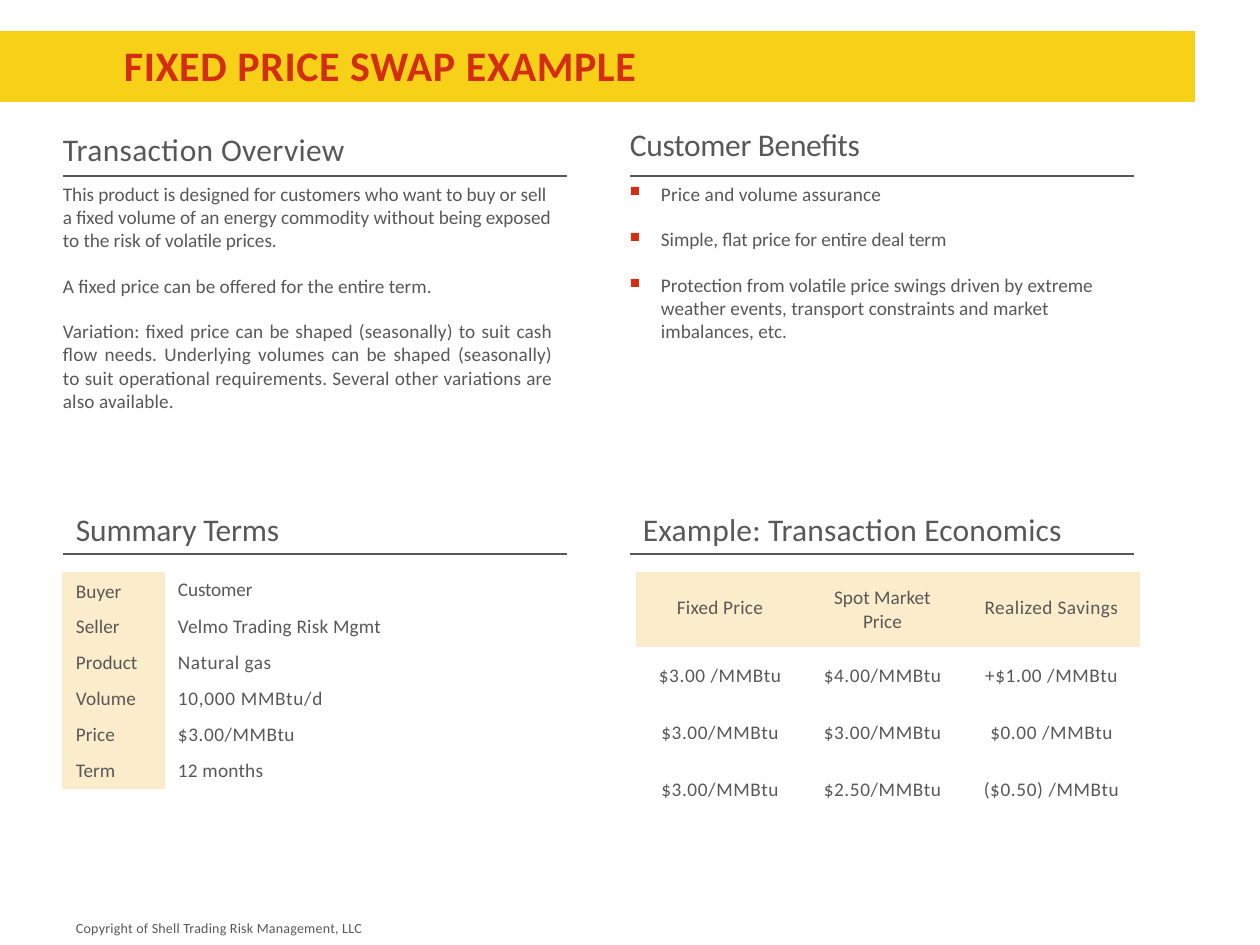
"""Build the fixed price swap slide."""
from lxml import etree
from pptx import Presentation, util as u
from pptx.dml.color import RGBColor
from pptx.enum import shapes, text
from pptx.oxml.ns import qn

RED = RGBColor(0xD3, 0x2D, 0x12)
GOLD = RGBColor(0xF7, 0xD1, 0x17)
CREAM = RGBColor(0xFB, 0xED, 0xCC)
GREY = RGBColor(0x58, 0x58, 0x58)
PLAIN = "{2D5ABB26-0587-4C30-8999-92F81FD0307C}"
LEFT, MID, JUST = text.PP_ALIGN.LEFT, text.PP_ALIGN.CENTER, text.PP_ALIGN.JUSTIFY


def px(n):
    """Turn pixels into EMU."""
    return u.Emu(round(n * 914400 / 126))


def write(para, words, size=11, color=GREY, bold=False, gap=0, align=LEFT):
    """Put words in a paragraph; gap is the letter spacing in points."""
    para.alignment = align
    run = para.add_run()
    run.text = words
    font = run.font
    font.name, font.size, font.bold = "Calibri", u.Pt(size), bold
    font.color.rgb = color
    run._r.get_or_add_rPr().set("spc", str(round(gap * 100)))


def bullet(para):
    """Give a paragraph a small red square and a hanging indent."""
    props = para._p.get_or_add_pPr()
    props.set("marL", str(px(31)))
    props.set("indent", str(-px(31)))
    tint = etree.SubElement(props, qn("a:buClr"))
    etree.SubElement(tint, qn("a:srgbClr")).set("val", str(RED))
    etree.SubElement(props, qn("a:buSzPct")).set("val", "73000")
    etree.SubElement(props, qn("a:buChar")).set("char", "■")


class Deck:
    """Hold the file, its style and the current slide."""

    def __init__(self):
        self.file = Presentation()
        self.file.slide_width, self.file.slide_height = px(1260), px(945)
        self.slide = self.file.slides.add_slide(self.file.slide_layouts[6])
        self.shapes = self.slide.shapes

    def band(self, x, y, w, h):
        """Draw a plain gold bar."""
        bar = self.shapes.add_shape(shapes.MSO_SHAPE.RECTANGLE, px(x), px(y), px(w), px(h))
        bar.shadow.inherit = False
        bar.fill.solid()
        bar.fill.fore_color.rgb = GOLD
        bar.line.fill.background()

    def rule(self, x, y, w):
        """Draw a level grey line."""
        line = self.shapes.add_connector(
            shapes.MSO_CONNECTOR.STRAIGHT, px(x), px(y), px(x + w), px(y))
        line.line.color.rgb = GREY
        line.line.width = u.Pt(1.2)
        etree.SubElement(line._element.spPr, qn("a:effectLst"))

    def box(self, x, y, w, h, items, marks=False, **style):
        """Add a text box with one paragraph per (words, format) item."""
        frame = self.shapes.add_textbox(px(x), px(y), px(w), px(h)).text_frame
        frame.word_wrap = True
        frame.margin_left = frame.margin_right = frame.margin_bottom = 0
        frame.margin_top = px(3)
        for i, (words, extra) in enumerate(items):
            para = frame.add_paragraph() if i else frame.paragraphs[0]
            if i:
                para.space_before = u.Pt(12.9)
            if marks:
                bullet(para)
            write(para, words, **style, **extra)

    def line(self, x, y, w, h, words, **style):
        """Add a text box with a single paragraph."""
        self.box(x, y, w, h, [(words, {})], **style)

    def grid(self, x, y, cols, rows):
        """Add an unstyled table and return it."""
        table = self.shapes.add_table(
            len(rows), len(cols), px(x), px(y), px(sum(cols)), px(sum(rows))).table
        table.first_row = table.horz_banding = False
        table._tbl.tblPr.find(qn("a:tableStyleId")).text = PLAIN
        for col, w in zip(table.columns, cols):
            col.width = px(w)
        for row, h in zip(table.rows, rows):
            row.height = px(h)
        return table

    def cell(self, cell, words, top, left=0, right=0, fill=False, **style):
        """Fill one table cell."""
        cell.margin_top, cell.margin_bottom = px(top), 0
        cell.margin_left, cell.margin_right = px(left), px(right)
        if fill:
            cell.fill.solid()
            cell.fill.fore_color.rgb = CREAM
        else:
            cell.fill.background()
        write(cell.text_frame.paragraphs[0], words, **style)


TERMS = [
    ("Buyer", "Customer", -0.1),
    ("Seller", "Velmo Trading Risk Mgmt", 0.1),
    ("Product", "Natural gas", 0.3),
    ("Volume", "10,000 MMBtu/d", 0.4),
    ("Price", "$3.00/MMBtu", 0.3),
    ("Term", "12 months", 0.1),
]
HEADS = [("Fixed Price", 24, 0.1), ("Spot Market Price", 14, 0), ("Realized Savings", 24, 0.25)]
DEALS = [
    ("$3.00 /MMBtu", "$4.00/MMBtu", "+$1.00 /MMBtu"),
    ("$3.00/MMBtu", "$3.00/MMBtu", "$0.00 /MMBtu"),
    ("$3.00/MMBtu", "$2.50/MMBtu", "($0.50) /MMBtu"),
]
STORY = [
    ("This product is designed for customers who want to buy or sell a fixed volume of an "
     "energy commodity without being exposed to the risk of volatile prices.", {"gap": -0.05}),
    ("A fixed price can be offered for the entire term.", {}),
    ("Variation: fixed price can be shaped (seasonally) to suit cash flow needs. Underlying "
     "volumes can be shaped (seasonally) to suit operational requirements. Several other "
     "variations are also available.", {"gap": 0.05, "align": JUST}),
]
PERKS = [
    ("Price and volume assurance", {"gap": 0.07}),
    ("Simple, flat price for entire deal term", {"gap": -0.05}),
    ("Protection from volatile price swings driven by extreme weather events, transport "
     "constraints and market imbalances, etc.", {}),
]
TITLES = [
    (63, 127, "Transaction Overview", 0.2),
    (630, 122, "Customer Benefits", -0.2),
    (76, 507, "Summary Terms", -0.1),
    (643, 507, "Example: Transaction Economics", 0.1),
]


def main():
    """Lay out the slide and save it."""
    deck = Deck()
    deck.band(0, 31, 1195, 71)
    deck.line(124, 37, 540, 54, "FIXED PRICE SWAP EXAMPLE", size=24, color=RED, bold=True, gap=0.35)
    for x, y, words, gap in TITLES:
        deck.line(x, y, 440, 42, words, size=18, gap=gap)
    for y in (176, 554):
        for x in (63, 630):
            deck.rule(x, y, 504)
    deck.box(63, 179, 490, 235, STORY)
    deck.box(630, 179, 476, 165, PERKS, marks=True)

    terms = deck.grid(62, 572, [103, 401], [38] + [36] * 4 + [35])
    for r, (name, value, gap) in enumerate(TERMS):
        deck.cell(terms.cell(r, 0), name, 5 if r else 8, left=14, fill=True)
        deck.cell(terms.cell(r, 1), value, 5 if r else 6, left=13, gap=gap)

    deals = deck.grid(636, 572, [166, 159, 179], [75] + [57] * 3)
    for c, (words, top, gap) in enumerate(HEADS):
        deck.cell(deals.cell(0, c), words, top, 18, 16, fill=True, gap=gap, align=MID)
    for r, row in enumerate(DEALS, 1):
        for c, words in enumerate(row):
            deck.cell(deals.cell(r, c), words, 17, 2, gap=0.33, align=MID)

    deck.line(76, 917, 295, 22, "Copyright of Shell Trading Risk Management, LLC", size=8, gap=0.1)
    deck.file.save("out.pptx")


if __name__ == "__main__":
    main()
